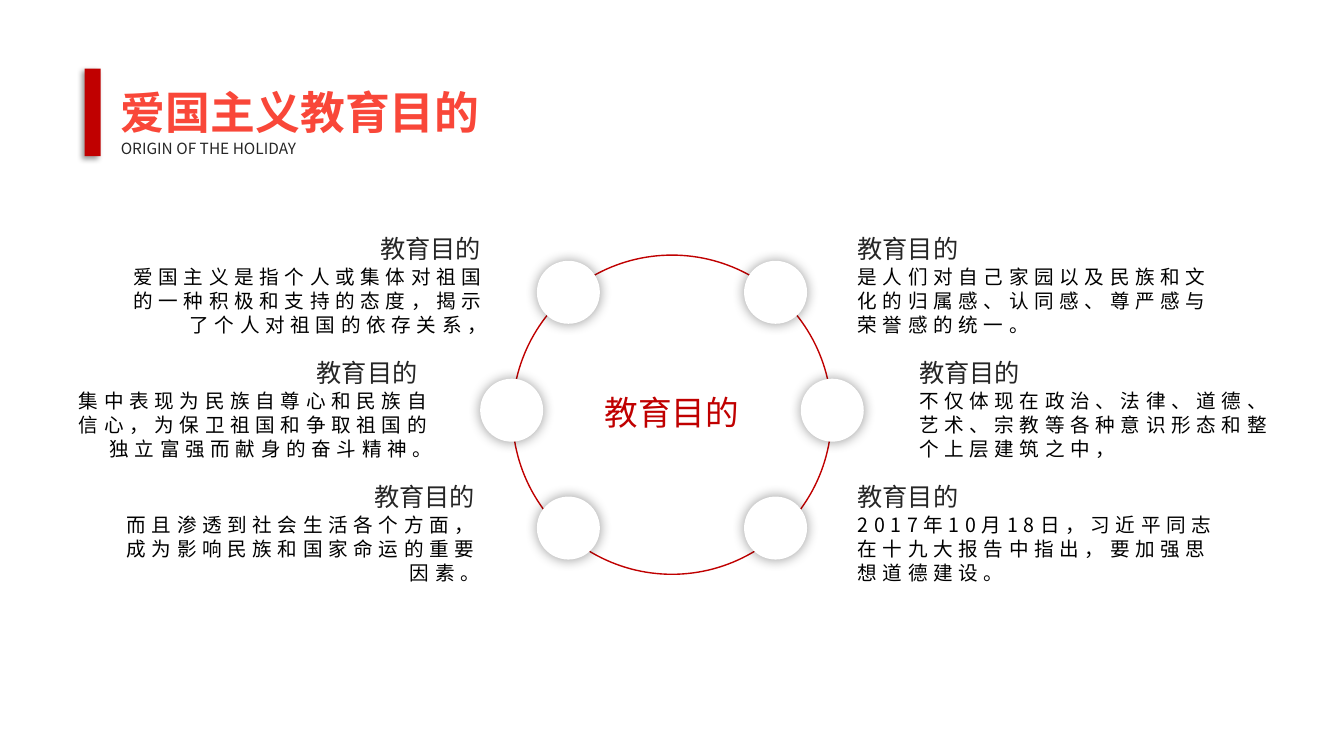
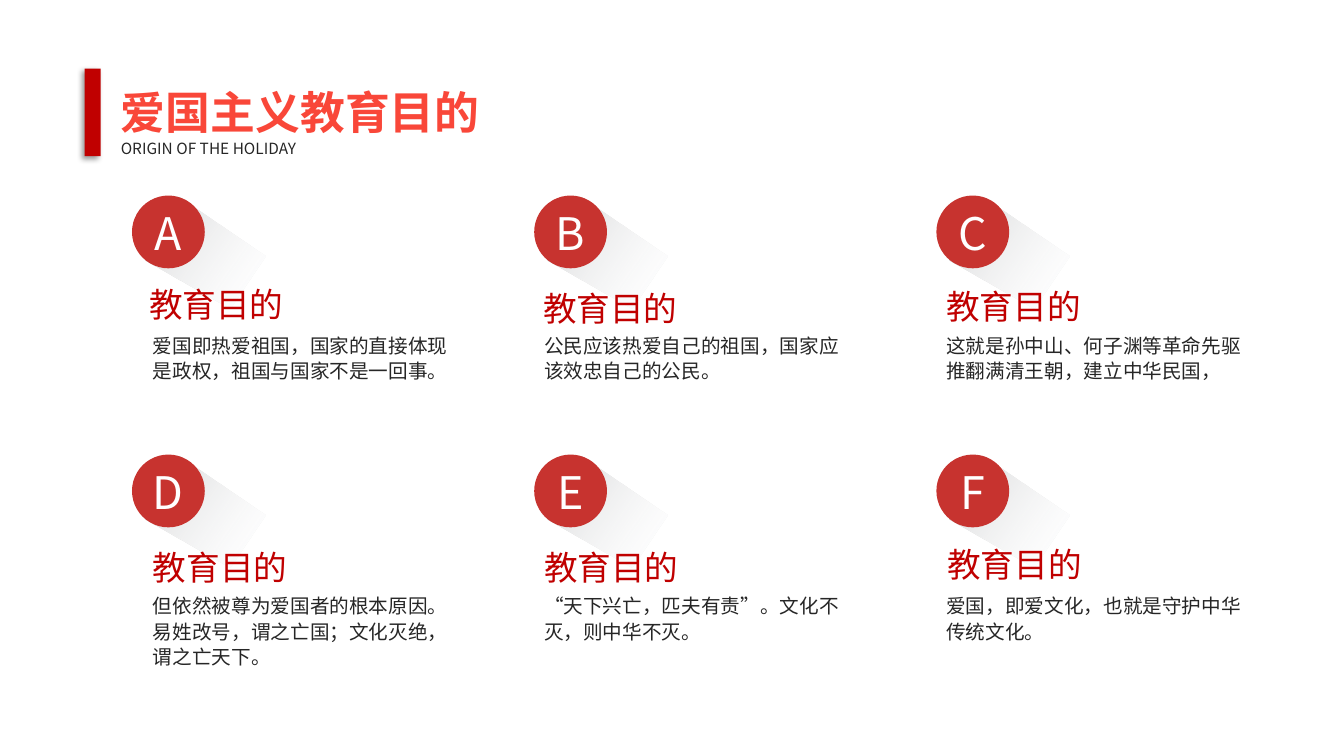
from lxml import etree
from pptx import Presentation
from pptx.dml.color import RGBColor
from pptx.enum.shapes import MSO_SHAPE
from pptx.enum.text import MSO_ANCHOR, MSO_AUTO_SIZE, PP_ALIGN
from pptx.oxml import parse_xml
from pptx.oxml.ns import nsdecls, qn
from pptx.util import Pt

OVAL, RECT = MSO_SHAPE.OVAL, MSO_SHAPE.RECTANGLE
TOP, MIDDLE = MSO_ANCHOR.TOP, MSO_ANCHOR.MIDDLE
LEFT, CENTER, RIGHT = PP_ALIGN.LEFT, PP_ALIGN.CENTER, PP_ALIGN.RIGHT

TITLE_FONT, TEXT_FONT = "Noto Sans CJK JP", "Noto Sans CJK SC"
RED, BADGE_RED, INK, BLACK, WHITE = "C00000", "C7332F", "262626", "000000", "FFFFFF"
TITLE_STOPS = [(0, "F94739"), (0.86, "BF2833")]

TITLE = "爱国主义教育目的"
SUBTITLE = "ORIGIN OF THE HOLIDAY"
HEADING = "教育目的"

# Alignment, heading edge, body edge, text; rows run from top to bottom.
LEFT_PURPOSES = [
    (RIGHT, 350.6, 355, "爱国主义是指个人或集体对祖国的一种积极和支持的态度，揭示了个人对祖国的依存关系，"),
    (RIGHT, 305.3, 316, "集中表现为民族自尊心和民族自信心，为保卫祖国和争取祖国的独立富强而献身的奋斗精神。"),
    (RIGHT, 346.3, 350, "而且渗透到社会生活各个方面，成为影响民族和国家命运的重要因素。"),
]
RIGHT_PURPOSES = [
    (LEFT, 605.5, 605.5, "是人们对自己家园以及民族和文化的归属感、认同感、尊严感与荣誉感的统一。"),
    (LEFT, 649.4, 649.4, "不仅体现在政治、法律、道德、艺术、宗教等各种意识形态和整个上层建筑之中，"),
    (LEFT, 605.5, 605.5, "2017年10月18日，习近平同志在十九大报告中指出，要加强思想道德建设。"),
]

# Letter, heading position, text.
POINTS = [
    ("A", 99.4, 198, "爱国即热爱祖国，国家的直接体现是政权，祖国与国家不是一回事。"),
    ("B", 380.9, 200.9, "公民应该热爱自己的祖国，国家应该效忠自己的公民。"),
    ("C", 668.9, 199.4, "这就是孙中山、何子渊等革命先驱推翻满清王朝，建立中华民国，"),
    ("D", 102.2, 385.9, "但依然被尊为爱国者的根本原因。易姓改号，谓之亡国；文化灭绝，谓之亡天下。"),
    ("E", 381.6, 385.9, "“天下兴亡，匹夫有责”。文化不灭，则中华不灭。"),
    ("F", 669.6, 383.8, "爱国，即爱文化，也就是守护中华传统文化。"),
]
BODY_LEFTS = [102.2, 381.6, 668.9]
BODY_TOPS = [234, 419.8]
LONG_SHADOW = [(9.4, 46.1), (33.8, 1.4), (95, 43.2), (69.8, 80.6)]


def rgb(value):
    return RGBColor.from_string(value)


def write(frame, text, size, color, align=LEFT, line=None, tracking=0, font_name=TEXT_FONT):
    """Fill a text frame with one run on a fixed line height and return its font."""
    frame.word_wrap = True
    paragraph = frame.paragraphs[0]
    paragraph.alignment = align
    paragraph.line_spacing = Pt(line or size * 1.25)
    run = paragraph.add_run()
    run.text = text
    font = run.font
    font.size = Pt(size)
    font.color.rgb = rgb(color)
    font.name = font_name
    properties = run._r.get_or_add_rPr()
    properties.set("lang", "zh-CN")
    if tracking:
        properties.set("spc", str(tracking * 100))
    etree.SubElement(properties, qn("a:ea")).set("typeface", font_name)
    return font


def add_text(slide, left, top, width, height, text, size, color, **style):
    box = slide.shapes.add_textbox(Pt(left), Pt(top), Pt(width), Pt(height))
    write(box.text_frame, text, size, color, **style)


def add_shape(slide, kind, left, top, width, height, fill=None, line=None):
    shape = slide.shapes.add_shape(kind, Pt(left), Pt(top), Pt(width), Pt(height))
    shape.shadow.inherit = False
    if fill:
        shape.fill.solid()
        shape.fill.fore_color.rgb = rgb(fill)
    else:
        shape.fill.background()
    if line:
        shape.line.color.rgb = rgb(line)
        shape.line.width = Pt(1)
    else:
        shape.line.fill.background()
    return shape


def cast_shadow(shape, blur, distance=0, angle=0):
    effects = shape._element.spPr.find(qn("a:effectLst"))
    effects.append(parse_xml(
        f'<a:outerShdw {nsdecls("a")} blurRad="{Pt(blur)}" dist="{Pt(distance)}" '
        f'dir="{angle * 60000}" algn="ctr" rotWithShape="0">'
        f'<a:srgbClr val="{BLACK}"><a:alpha val="40000"/></a:srgbClr></a:outerShdw>'))


def add_header(slide):
    title = slide.shapes.title
    title.left, title.top, title.width, title.height = Pt(79.2), Pt(55.4), Pt(293), Pt(46)
    frame = title.text_frame
    frame.auto_size = MSO_AUTO_SIZE.NONE
    frame.vertical_anchor = TOP
    font = write(frame, TITLE, 32, TITLE_STOPS[0][1], font_name=TITLE_FONT)
    font.bold = True
    font.fill.gradient()
    font.fill.gradient_angle = 270
    for stop, (position, color) in zip(font.fill.gradient_stops, TITLE_STOPS):
        stop.position = position
        stop.color.rgb = rgb(color)
    add_text(slide, 79.2, 95, 252.7, 21, SUBTITLE, 11, INK)
    cast_shadow(add_shape(slide, RECT, 60.5, 49, 11.5, 62.6, fill=RED), 4, 3, 135)


def add_purpose(slide, row, align, heading_edge, body_edge, text):
    """Place a heading and its body against an outer edge set by the alignment."""
    heading_width, body_width = 119.5, 278.6
    if align == RIGHT:
        heading_edge -= heading_width
        body_edge -= body_width
    top = 162 + row * 88.5
    add_text(slide, body_edge, top + 23.6, body_width, 58, text, 14, BLACK,
             align=align, line=17, tracking=4)
    add_text(slide, heading_edge, top, heading_width, 29, HEADING, 18, INK, align=align)


def add_ring(slide):
    center_x, center_y, radius, node = 480, 293, 114, 45
    add_shape(slide, OVAL, center_x - radius, 182.2, 2 * radius, 2 * radius, line=RED)
    for side in (-1, 1):
        for row, reach in ((-1, 74), (0, 114.5), (1, 74)):
            circle = add_shape(slide, OVAL, center_x + side * reach - node / 2,
                               center_y + row * 84.2 - node / 2, node, node, fill=WHITE)
            cast_shadow(circle, 9)
    add_text(slide, center_x - 62, 275, 124, 36, HEADING, 24, RED, align=CENTER)


def add_long_shadow(slide, left, top):
    corners = [(Pt(left + x), Pt(top + y)) for x, y in LONG_SHADOW]
    builder = slide.shapes.build_freeform(*corners[0])
    builder.add_line_segments(corners[1:], close=True)
    shape = builder.convert_to_shape()
    shape.shadow.inherit = False
    shape.line.fill.background()
    shape.fill.background()
    stops = "".join(
        f'<a:gs pos="{position}000"><a:srgbClr val="{color}"><a:alpha val="{alpha}000"/>'
        '</a:srgbClr></a:gs>'
        for position, color, alpha in ((0, "F6F8FC", 0), (65, "CCCDCE", 40), (100, "BFBFBF", 100)))
    gradient = parse_xml(f'<a:gradFill {nsdecls("a")}><a:gsLst>{stops}</a:gsLst>'
                         f'<a:lin ang="{215 * 60000}" scaled="0"/></a:gradFill>')
    properties = shape._element.spPr
    properties.replace(properties.find(qn("a:noFill")), gradient)


def add_badge(slide, left, top, letter):
    add_long_shadow(slide, left, top)
    frame = add_shape(slide, OVAL, left, top, 52, 52, fill=BADGE_RED).text_frame
    frame.margin_left = frame.margin_right = frame.margin_top = frame.margin_bottom = 0
    frame.vertical_anchor = MIDDLE
    write(frame, letter, 32, WHITE, align=CENTER)


def add_point(slide, index, letter, heading_left, heading_top, text):
    row, column = divmod(index, 3)
    add_badge(slide, 94.3 + column * 287.3, 139.7 + row * 185, letter)
    add_text(slide, BODY_LEFTS[column], BODY_TOPS[row], 230.4, 44, text, 14, INK, line=18)
    add_text(slide, heading_left, heading_top, 119.5, 36, HEADING, 24, RED)


def main():
    deck = Presentation()
    deck.slide_width, deck.slide_height = Pt(960), Pt(540)
    title_only = deck.slide_layouts[5]

    ring_slide = deck.slides.add_slide(title_only)
    add_header(ring_slide)
    for purposes in (LEFT_PURPOSES, RIGHT_PURPOSES):
        for row, purpose in enumerate(purposes):
            add_purpose(ring_slide, row, *purpose)
    add_ring(ring_slide)

    points_slide = deck.slides.add_slide(title_only)
    add_header(points_slide)
    for index, point in enumerate(POINTS):
        add_point(points_slide, index, *point)

    deck.save("out.pptx")


if __name__ == "__main__":
    main()
